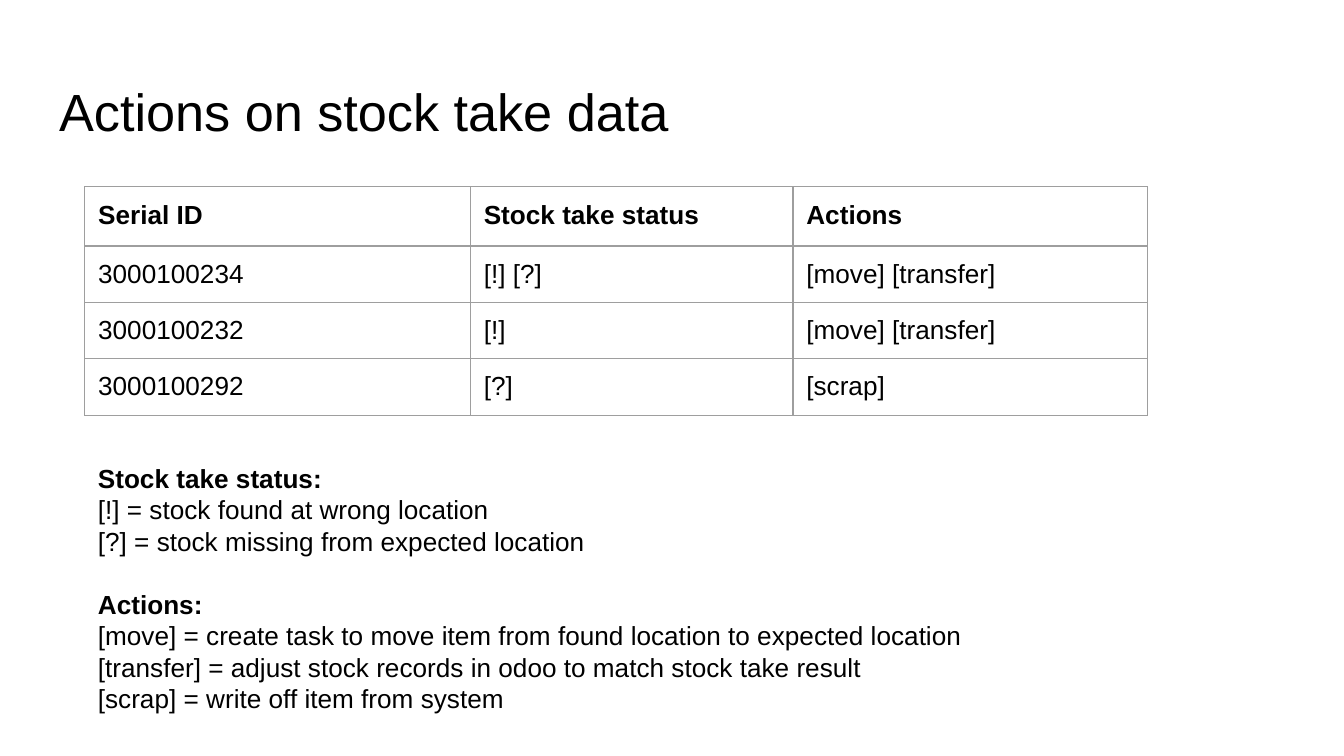
from lxml.etree import SubElement
from pptx import Presentation
from pptx.dml.color import RGBColor
from pptx.enum.text import MSO_ANCHOR, PP_ALIGN
from pptx.oxml.ns import qn
from pptx.util import Inches, Pt

BLACK = RGBColor(0, 0, 0)
BORDER_GRAY = RGBColor(0x9E, 0x9E, 0x9E)
FONT = "Arial"
BODY_SIZE = 14
PADDING = Inches(0.1)
SLIDE_WIDTH = Inches(10)
SLIDE_HEIGHT = SLIDE_WIDTH * 9 // 16

STOCK_ROWS = [
    ("Serial ID", "Stock take status", "Actions"),
    ("3000100234", "[!] [?]", "[move] [transfer]"),
    ("3000100232", "[!]", "[move] [transfer]"),
    ("3000100292", "[?]", "[scrap]"),
]
COLUMN_WIDTHS = (2.87, 2.4, 2.64)
ROW_HEIGHTS = (0.44, 0.42, 0.42, 0.42)

LEGEND = {
    "Stock take status:": [
        "[!] = stock found at wrong location",
        "[?] = stock missing from expected location",
    ],
    "Actions:": [
        "[move] = create task to move item from found location to expected location",
        "[transfer] = adjust stock records in odoo to match stock take result",
        "[scrap] = write off item from system",
    ],
}


def format_paragraph(paragraph, size=BODY_SIZE, bold=False):
    paragraph.alignment = PP_ALIGN.LEFT
    for run in paragraph.runs:
        run.font.name = FONT
        run.font.size = Pt(size)
        run.font.bold = bold
        run.font.color.rgb = BLACK


def pad(box):
    """Give a cell or text frame equal margins and start its text at the top."""
    box.margin_left = box.margin_right = PADDING
    box.margin_top = box.margin_bottom = PADDING
    box.vertical_anchor = MSO_ANCHOR.TOP


def set_borders(cell):
    properties = cell._tc.get_or_add_tcPr()
    for position, side in enumerate(("a:lnL", "a:lnR", "a:lnT", "a:lnB")):
        line = SubElement(properties, qn(side), w=str(Pt(0.75)))
        fill = SubElement(line, qn("a:solidFill"))
        SubElement(fill, qn("a:srgbClr"), val=str(BORDER_GRAY))
        properties.insert(position, line)


def place_title(slide, left, top, width, height):
    title = slide.shapes.title
    title.left, title.top = left, top
    title.width, title.height = width, height
    frame = title.text_frame
    frame.text = "Actions on stock take data"
    pad(frame)
    format_paragraph(frame.paragraphs[0], size=28)


def add_stock_table(slide, left, top, width, height):
    table = slide.shapes.add_table(
        len(STOCK_ROWS), len(COLUMN_WIDTHS), left, top, width, height
    ).table
    table.horz_banding = False
    for column, column_width in zip(table.columns, COLUMN_WIDTHS):
        column.width = Inches(column_width)
    for row, row_height in zip(table.rows, ROW_HEIGHTS):
        row.height = Inches(row_height)
    for row_index, values in enumerate(STOCK_ROWS):
        for column_index, value in enumerate(values):
            cell = table.cell(row_index, column_index)
            cell.text = value
            cell.fill.background()
            pad(cell)
            set_borders(cell)
            format_paragraph(cell.text_frame.paragraphs[0], bold=row_index == 0)


def add_legend(slide, left, top, width, height):
    frame = slide.shapes.add_textbox(left, top, width, height).text_frame
    frame.word_wrap = True
    pad(frame)
    lines = [
        (text, text == heading)
        for heading, meanings in LEGEND.items()
        for text in (heading, *meanings)
    ]
    frame.text = "\n".join(text for text, _ in lines)
    for index, (paragraph, (_, is_heading)) in enumerate(zip(frame.paragraphs, lines)):
        if is_heading and index:
            paragraph.space_before = Pt(17)
        format_paragraph(paragraph, bold=is_heading)


def main():
    presentation = Presentation()
    presentation.slide_width = SLIDE_WIDTH
    presentation.slide_height = SLIDE_HEIGHT
    slide = presentation.slides.add_slide(presentation.slide_layouts[5])

    place_title(slide, Inches(0.34), Inches(0.49), Inches(9.32), Inches(0.63))
    add_stock_table(
        slide, Inches(0.63), Inches(1.39),
        Inches(sum(COLUMN_WIDTHS)), Inches(sum(ROW_HEIGHTS)),
    )
    add_legend(slide, Inches(0.63), Inches(3.34), Inches(7.68), Inches(2.03))
    presentation.save("out.pptx")


if __name__ == "__main__":
    main()
